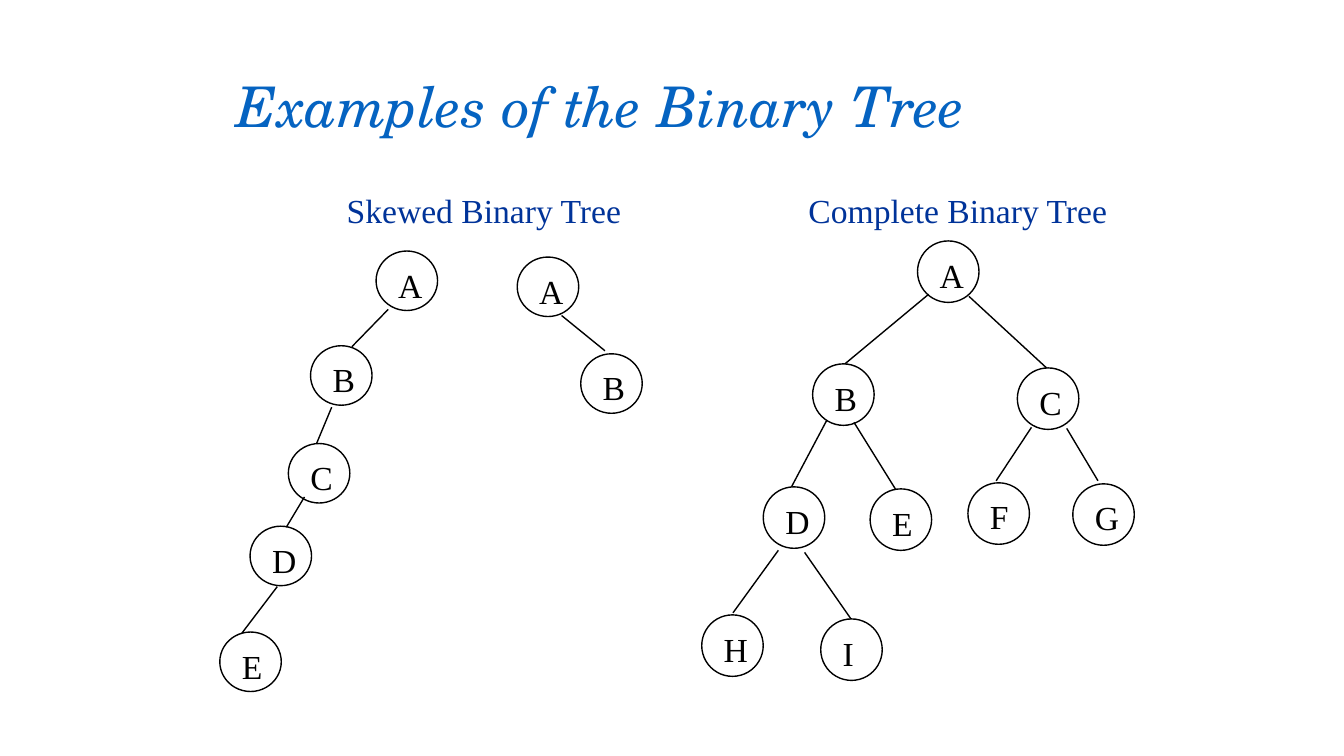
"""Build a slide that compares skewed and complete binary trees."""
from lxml.etree import SubElement
from pptx import Presentation
from pptx.dml.color import RGBColor
from pptx.enum.shapes import MSO_CONNECTOR as CONNECTOR, MSO_SHAPE as SHAPE
from pptx.enum.text import MSO_ANCHOR as ANCHOR, PP_ALIGN as ALIGN
from pptx.oxml.ns import qn
from pptx.util import Inches, Pt

TITLE_BLUE = RGBColor(0x05, 0x63, 0xC1)
CAPTION_BLUE = RGBColor(0x00, 0x33, 0x99)
BLACK = RGBColor(0x00, 0x00, 0x00)

CELL = Inches(0.1)
NODE_WIDTH = 6.1
CAPTION_TOP, CAPTION_WIDTH = 18.3, 33
LETTER_DX, LETTER_DY, LETTER_WIDTH = 1.2, 0.85, 5
TEXT_HEIGHT = 5.1


def cells(*counts):
    """Turn counts of grid cells into slide lengths."""
    return [round(count * CELL) for count in counts]


def write(frame, text, size=24, font="Times New Roman", color=BLACK,
          italic=False, anchor=ANCHOR.TOP):
    """Put one formatted, left-aligned line into a text frame."""
    frame.word_wrap = True
    frame.vertical_anchor = anchor
    line = frame.paragraphs[0]
    line.alignment = ALIGN.LEFT
    run = line.add_run()
    run.text = text
    run.font.size = Pt(size)
    run.font.name = font
    run.font.italic = italic
    run.font.color.rgb = color


trees = [
    {
        "caption": "Complete Binary Tree", "caption_left": 79.2,
        "node_height": 6.1,
        "nodes": [("A", 91, 23.9), ("B", 80.6, 36.1), ("C", 100.9, 36.5),
                  ("D", 75.7, 48.3), ("E", 86.3, 48.5), ("F", 96, 47.9),
                  ("G", 106.4, 48), ("H", 69.6, 61), ("I", 81.4, 61.4)],
        "branches": [(92.1, 29.2, 83.8, 36.1), (96.1, 29.4, 103.8, 36.5),
                     (82, 41.7, 78.5, 48.3), (84.7, 41.9, 88.8, 48.5),
                     (102.3, 42.4, 98.8, 47.7), (105.8, 42.5, 108.9, 47.7),
                     (77.2, 54.6, 72.7, 60.8), (79.8, 54.8, 84.4, 61.4)],
    },
    {
        "caption": "Skewed Binary Tree", "caption_left": 33.4,
        "node_height": 5.9,
        "nodes": [("A", 37.3, 24.9), ("B", 30.8, 34.3), ("C", 28.6, 44),
                  ("D", 24.8, 52.2), ("E", 21.8, 62.7),
                  ("A", 51.3, 25.5), ("B", 57.6, 35.1)],
        "branches": [(38.5, 30.7, 34.9, 34.4), (32.9, 40.4, 31.4, 44),
                     (30.2, 49.3, 28.4, 52.3), (27.5, 58.2, 24, 62.8),
                     (55.7, 31.3, 60, 34.8)],
    },
]

deck = Presentation()
deck.slide_width, deck.slide_height = cells(133.3, 75)
slide = deck.slides.add_slide(deck.slide_layouts[5])

title = slide.shapes.title
title.left, title.top, title.width, title.height = cells(22.5, 4.2, 83.3, 12.5)
write(title.text_frame, "Examples of the Binary Tree", size=40,
      font="TeX Gyre Schola", color=TITLE_BLUE, italic=True,
      anchor=ANCHOR.MIDDLE)

for tree in trees:
    parts = slide.shapes.add_group_shape().shapes
    caption = parts.add_textbox(
        *cells(tree["caption_left"], CAPTION_TOP, CAPTION_WIDTH, TEXT_HEIGHT))
    write(caption.text_frame, tree["caption"], color=CAPTION_BLUE)

    for letter, left, top in tree["nodes"]:
        node = parts.add_shape(
            SHAPE.OVAL, *cells(left, top, NODE_WIDTH, tree["node_height"]))
        node.shadow.inherit = False
        node.fill.background()
        node.line.color.rgb = BLACK
        node.line.width = Pt(1)
        label = parts.add_textbox(
            *cells(left + LETTER_DX, top + LETTER_DY, LETTER_WIDTH, TEXT_HEIGHT))
        write(label.text_frame, letter)

    for ends in tree["branches"]:
        branch = parts.add_connector(CONNECTOR.STRAIGHT, *cells(*ends))
        branch.line.color.rgb = BLACK
        branch.line.width = Pt(1)
        SubElement(branch._element.spPr, qn("a:effectLst"))

deck.save("out.pptx")
